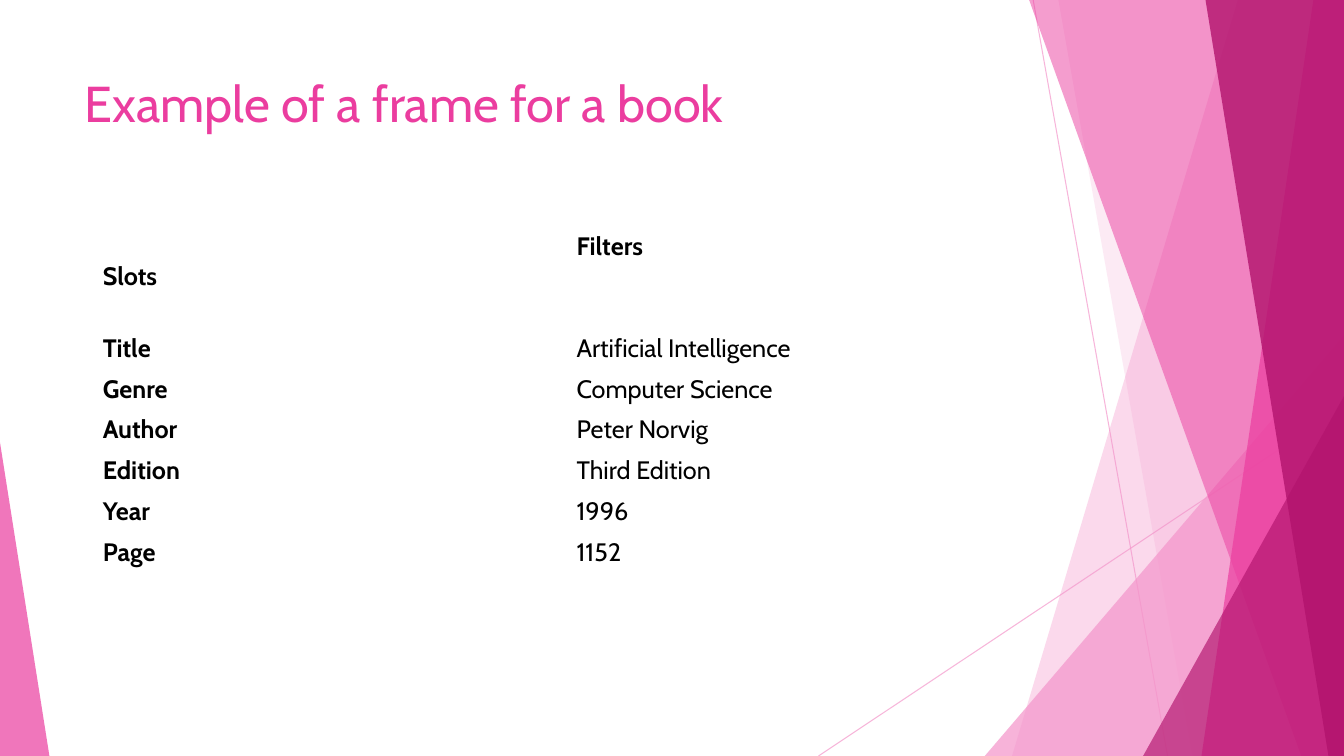
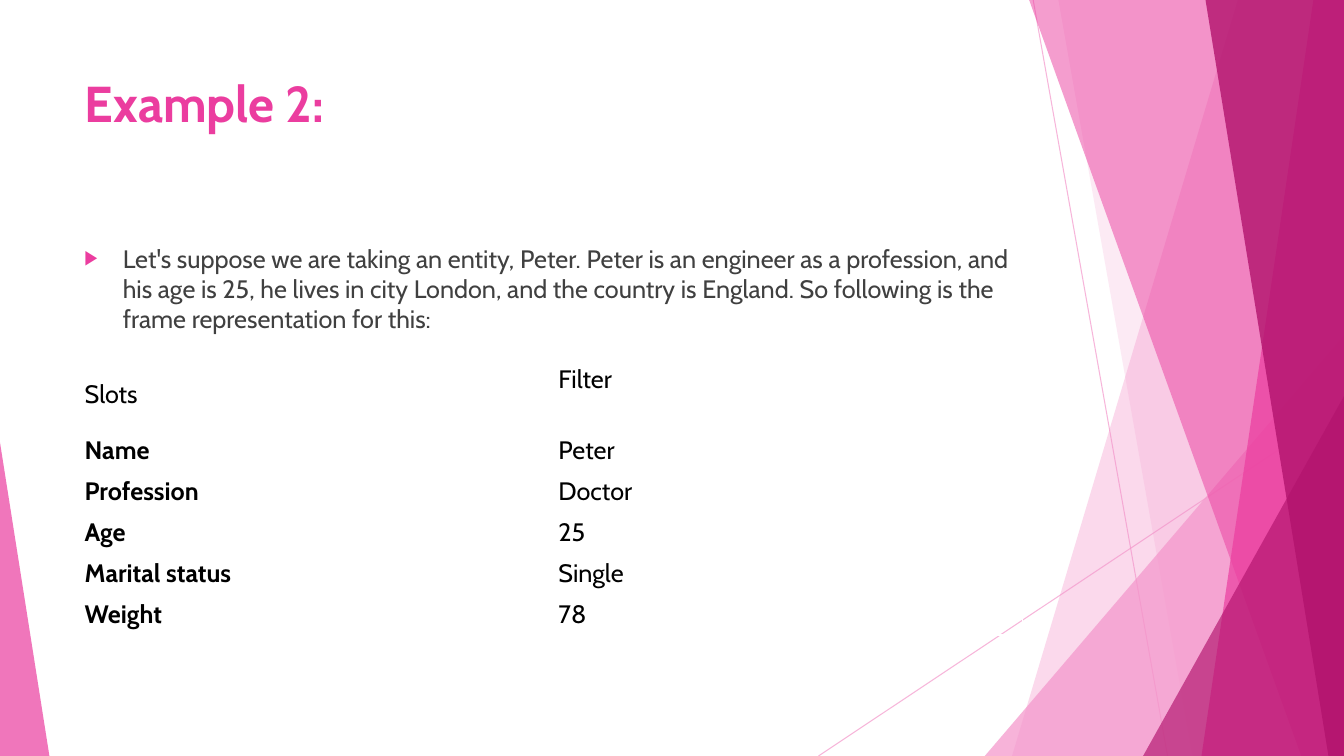
"""Build two slides that show knowledge frames as slot and filter tables."""
import dataclasses

import pptx
import pptx.dml.color
import pptx.enum.shapes
import pptx.enum.text
import pptx.oxml
import pptx.oxml.ns
import pptx.presentation
import pptx.shapes.autoshape
import pptx.slide
import pptx.text.text
import pptx.util

FONT = "Cabin"
COLORS = {
    "light": "F496CB",
    "pink": "EB3D9F",
    "deep": "B2136D",
    "body": "404040",
    "black": "000000",
}
COLS, ROWS = 160, 90
UNIT = pptx.util.Inches(7.5) // ROWS

LEFT, WIDTH = 8.88, 112.8
TITLE_TOP, TITLE_HEIGHT = 8.04, 17.28
BODY_TOP, BODY_HEIGHT = 28.32, 13.8
ROW_HEIGHT, LINE_HEIGHT = 4.88, 3.6


@dataclasses.dataclass(frozen=True)
class Ray:
    x1: float
    y1: float
    x2: float
    y2: float


@dataclasses.dataclass(frozen=True)
class Band:
    top_x: float
    bottom_x: float
    color: str
    opacity: int


@dataclasses.dataclass(frozen=True)
class Corner:
    left: float
    top: float
    width: float
    apex: int
    color: str
    opacity: int


@dataclasses.dataclass(frozen=True)
class Frame:
    left: float
    top: float
    header_height: float
    lines_below: int
    header: tuple[str, str]
    header_bold: bool
    slots: dict[str, str]


RAYS = [Ray(123, 0, 139, 90), Ray(160, 48.36, 97.44, 90)]
FACETS = [
    Band(147.36, 120.48, "light", 36),
    Band(126, 141.96, "light", 20),
    Corner(117.24, 39.96, 42.76, 1, "light", 72),
    Band(122.52, 154.92, "pink", 50),
    Band(156.36, 143.04, "pink", 70),
    Band(143.52, 158.16, "deep", 80),
    Corner(136.08, 47.16, 23.92, 1, "deep", 66),
    Corner(0, 52.68, 5.88, 0, "pink", 70),
]

BOOK = Frame(
    11.04, 26.88, 12.12, 2, ("Slots", "Filters"), True,
    {
        "Title": "Artificial Intelligence",
        "Genre": "Computer Science",
        "Author": "Peter Norvig",
        "Edition": "Third Edition",
        "Year": "1996",
        "Page": "1152",
    },
)
PERSON = Frame(
    LEFT, 42.72, 8.5, 1, ("Slots", "Filter"), False,
    {
        "Name": "Peter",
        "Profession": "Doctor",
        "Age": "25",
        "Marital status": "Single",
        "Weight": "78",
    },
)
INTRO = (
    "Let's suppose we are taking an entity, Peter. Peter is an engineer as a "
    "profession, and his age is 25, he lives in city London, and the country is "
    "England. So following is the frame representation for this:"
)


def grid(n: float) -> pptx.util.Emu:
    return pptx.util.Emu(round(n * UNIT))


def rgb(name: str) -> pptx.dml.color.RGBColor:
    return pptx.dml.color.RGBColor.from_string(COLORS[name])


def add_xml(parent, tag: str, **attrs: str) -> None:
    el = pptx.oxml.parse_xml(f"<a:{tag} {pptx.oxml.ns.nsdecls('a')}/>")
    for key, value in attrs.items():
        el.set(key, value)
    parent.append(el)


def set_opacity(sp, percent: int) -> None:
    add_xml(sp.element.xpath(".//a:srgbClr")[0], "alpha", val=str(percent * 1000))


def write(
    tf: pptx.text.text.TextFrame, text: str, *, size: float = 18,
    color: str = "black", bold: bool = False,
) -> pptx.text.text._Paragraph:
    tf.word_wrap = True
    p = tf.paragraphs[0]
    p.alignment = pptx.enum.text.PP_ALIGN.LEFT
    r = p.add_run()
    r.text = text
    r.font.name = FONT
    r.font.size = pptx.util.Pt(size)
    r.font.bold = bold
    r.font.color.rgb = rgb(color)
    return p


def add_ray(s: pptx.slide.Slide, ray: Ray) -> None:
    sp = s.shapes.add_connector(
        pptx.enum.shapes.MSO_CONNECTOR.STRAIGHT,
        grid(ray.x1), grid(ray.y1), grid(ray.x2), grid(ray.y2),
    )
    sp.line.color.rgb = rgb("light")
    sp.line.width = pptx.util.Pt(0.75)
    set_opacity(sp, 70)
    add_xml(sp.element.spPr, "effectLst")


def add_facet(s: pptx.slide.Slide, facet: Band | Corner) -> None:
    if isinstance(facet, Band):
        builder = s.shapes.build_freeform(grid(facet.top_x), 0)
        corners = [(COLS, 0), (COLS, ROWS), (facet.bottom_x, ROWS)]
        builder.add_line_segments([(grid(x), grid(y)) for x, y in corners])
        sp = builder.convert_to_shape()
    else:
        sp = s.shapes.add_shape(
            pptx.enum.shapes.MSO_SHAPE.ISOSCELES_TRIANGLE,
            grid(facet.left), grid(facet.top),
            grid(facet.width), grid(ROWS - facet.top),
        )
        sp.adjustments[0] = facet.apex
    sp.shadow.inherit = False
    sp.fill.solid()
    sp.fill.fore_color.rgb = rgb(facet.color)
    set_opacity(sp, facet.opacity)
    sp.line.fill.background()


def decorate_layout(s: pptx.slide.Slide) -> None:
    for ray in RAYS:
        add_ray(s, ray)
    for facet in FACETS:
        add_facet(s, facet)
    tree = s.slide_layout.shapes.element
    art = [sp for sp in s.shapes if not sp.is_placeholder]
    for number, sp in enumerate(art, 100):
        sp.element.xpath(".//p:cNvPr")[0].set("id", str(number))
        tree.append(sp.element)


def add_slide(
    prs: pptx.presentation.Presentation, title: str, *, bold: bool = False
) -> pptx.slide.Slide:
    s = prs.slides.add_slide(prs.slide_layouts[5])
    sp = s.shapes.title
    sp.left, sp.top = grid(LEFT), grid(TITLE_TOP)
    sp.width, sp.height = grid(WIDTH), grid(TITLE_HEIGHT)
    tf = sp.text_frame
    tf.vertical_anchor = pptx.enum.text.MSO_ANCHOR.TOP
    write(tf, title, size=36, color="pink", bold=bold)
    return s


def add_bullet(s: pptx.slide.Slide, text: str) -> None:
    sp = s.shapes.add_textbox(
        grid(LEFT), grid(BODY_TOP), grid(WIDTH), grid(BODY_HEIGHT)
    )
    p = write(sp.text_frame, text, color="body")
    p.space_before = pptx.util.Pt(10)
    pPr = p._p.get_or_add_pPr()
    indent = pptx.util.Inches(0.38)
    pPr.set("marL", str(indent))
    pPr.set("indent", str(-indent))
    add_xml(pPr, "buClr")
    add_xml(pPr[-1], "srgbClr", val=COLORS["pink"])
    add_xml(pPr, "buSzPct", val="80000")
    add_xml(pPr, "buFont", typeface="Arial")
    add_xml(pPr, "buChar", char="▶")


def add_frame(s: pptx.slide.Slide, frame: Frame) -> None:
    rows = [frame.header, *frame.slots.items()]
    heights = [frame.header_height] + [ROW_HEIGHT] * len(frame.slots)
    table = s.shapes.add_table(
        len(rows), 2, grid(frame.left), grid(frame.top),
        grid(WIDTH), grid(sum(heights)),
    ).table
    table.first_row = table.horz_banding = False
    for i, (texts, height) in enumerate(zip(rows, heights)):
        table.rows[i].height = grid(height)
        for j, text in enumerate(texts):
            cell = table.cell(i, j)
            cell.fill.background()
            cell.vertical_anchor = pptx.enum.text.MSO_ANCHOR.MIDDLE
            bold = frame.header_bold if i == 0 else j == 0
            write(cell.text_frame, text, bold=bold)
    table.cell(0, 1).margin_bottom += grid(frame.lines_below * LINE_HEIGHT)


def main() -> None:
    prs = pptx.Presentation()
    prs.slide_width, prs.slide_height = grid(COLS), grid(ROWS)

    s = add_slide(prs, "Example of a frame for a book")
    decorate_layout(s)
    add_frame(s, BOOK)

    s = add_slide(prs, "Example 2:", bold=True)
    add_bullet(s, INTRO)
    add_frame(s, PERSON)

    prs.save("out.pptx")


if __name__ == "__main__":
    main()
